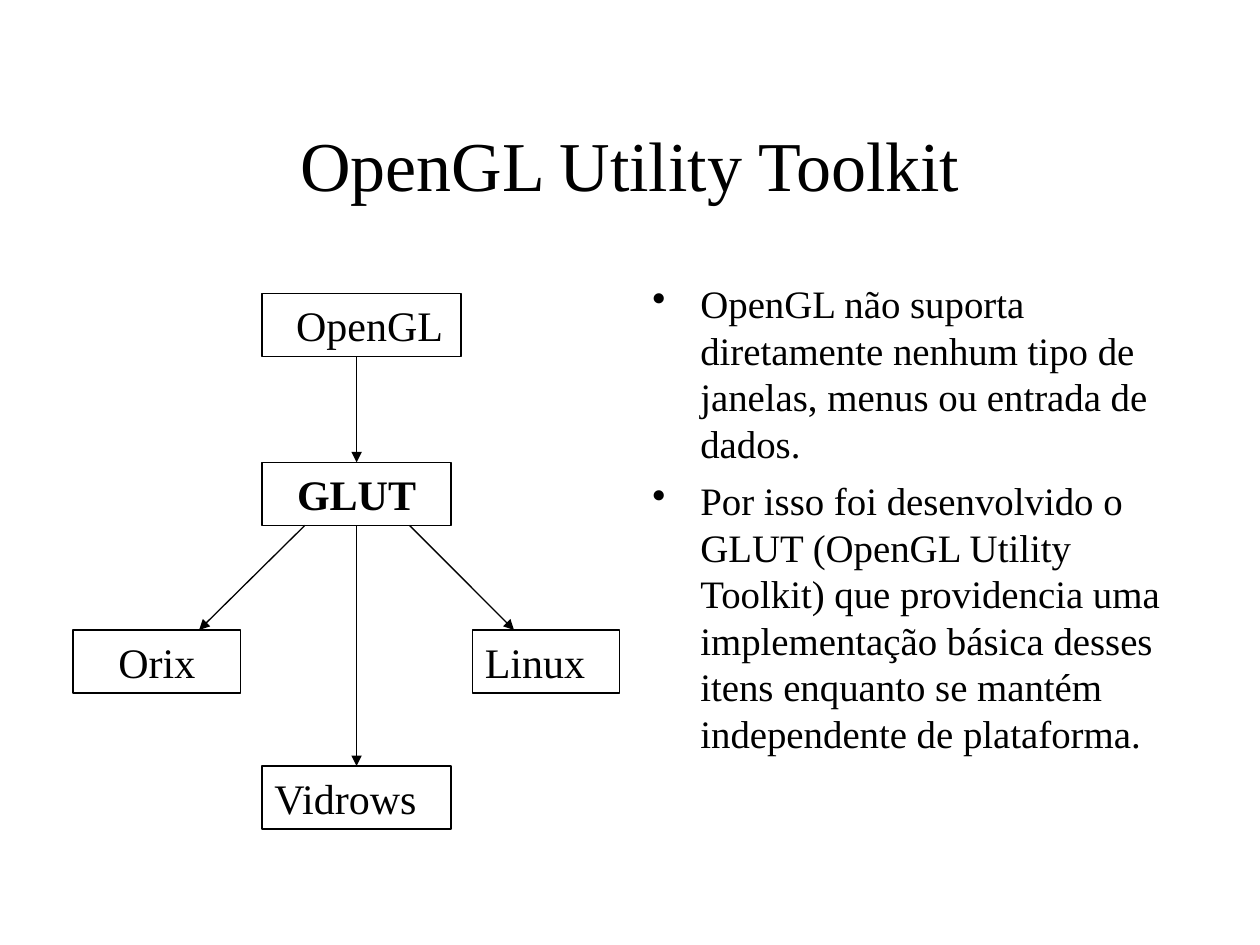
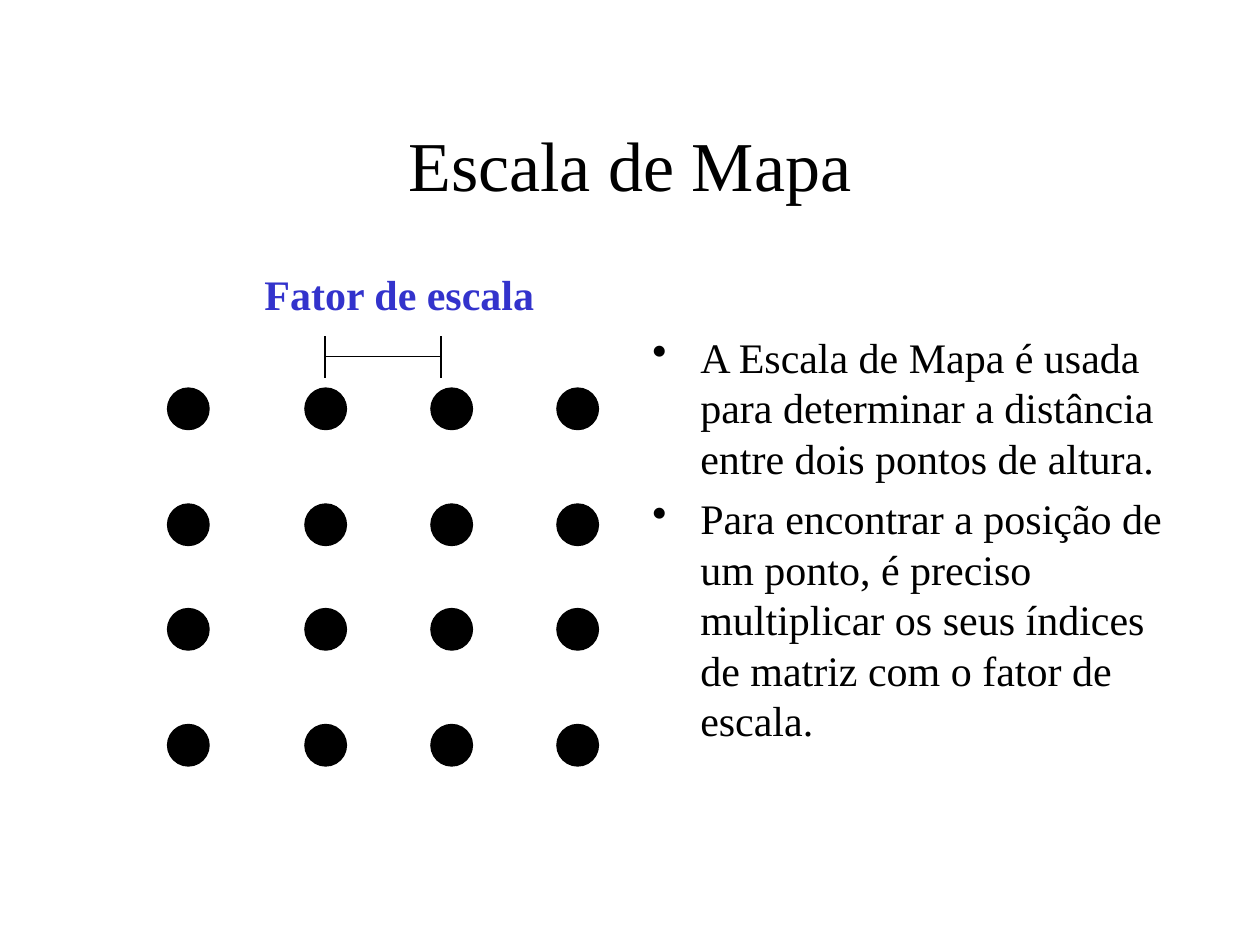
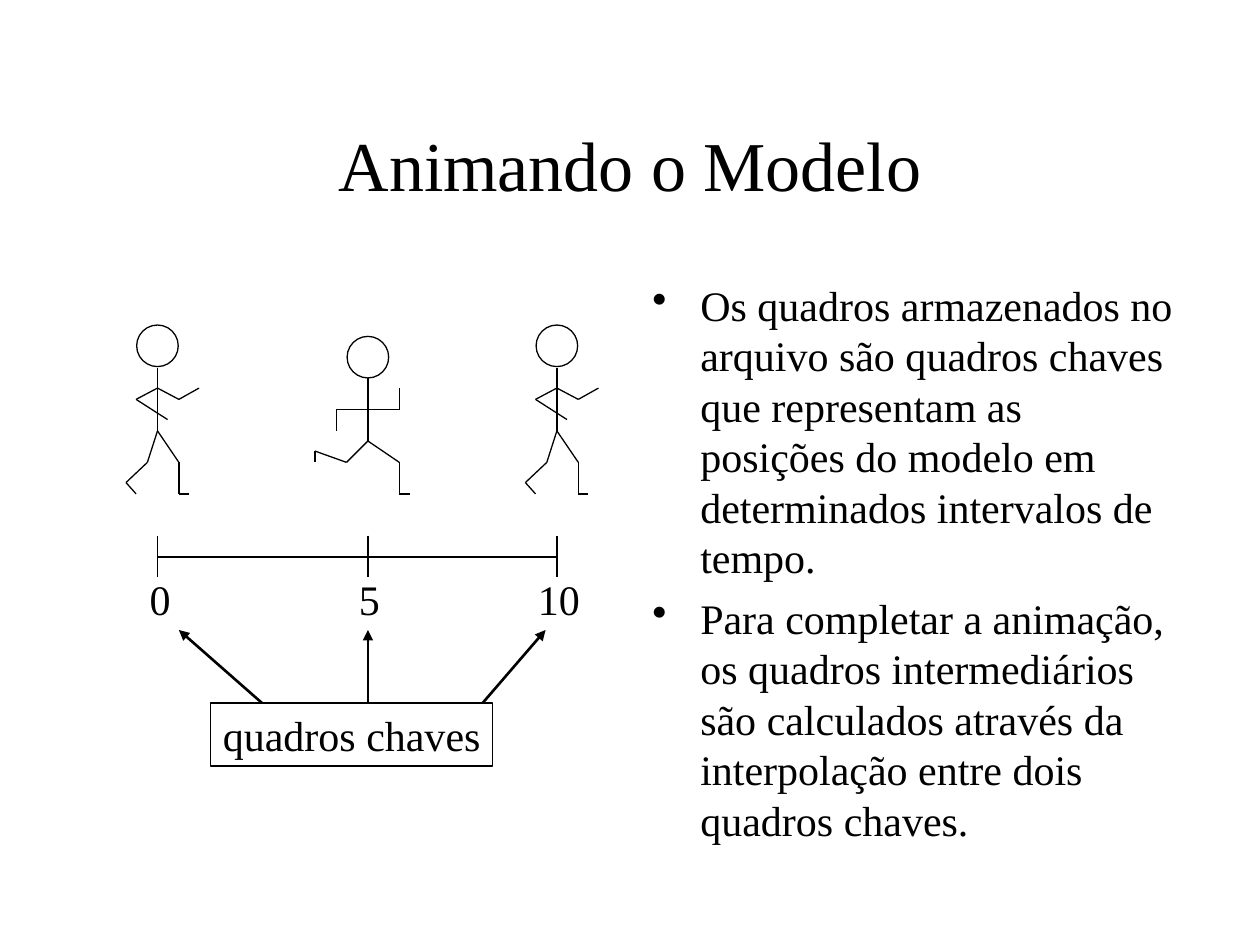
from itertools import pairwise

from lxml import etree
from pptx import Presentation
from pptx.dml.color import RGBColor
from pptx.enum.shapes import MSO_CONNECTOR as CONN, MSO_SHAPE as SHAPE
from pptx.enum.text import MSO_ANCHOR as ANCHOR, PP_ALIGN as ALIGN
from pptx.oxml.ns import qn
from pptx.util import Inches, Pt

FONT = "Times New Roman"
BLACK, BLUE = "000000", "3333CC"
DOT = 0.33
rgb = RGBColor.from_string


def write(tf, text, size=24, color=BLACK, bold=False, align=ALIGN.LEFT,
          bullet=False, before=0, wrap=True, anchor=ANCHOR.TOP, new=False):
    """Write one paragraph with its format into a text frame."""
    tf.word_wrap = wrap
    tf.vertical_anchor = anchor
    p = tf.add_paragraph() if new else tf.paragraphs[0]
    p.alignment = align
    p.space_before = Pt(before)
    if bullet:
        pPr = p._p.get_or_add_pPr()
        pPr.set("marL", str(Inches(0.38)))
        pPr.set("indent", str(-Inches(0.38)))
        etree.SubElement(pPr, qn("a:buChar")).set("char", "•")
    r = p.add_run()
    r.text = text
    r.font.name = FONT
    r.font.size = Pt(size)
    r.font.bold = bold
    r.font.color.rgb = rgb(color)


def add_line(shapes, start, end, width=0.75, arrow=False):
    """Draw a straight black line, with an arrowhead at its end if wanted."""
    points = [Inches(v) for v in (*start, *end)]
    c = shapes.add_connector(CONN.STRAIGHT, *points)
    c.line.color.rgb = rgb(BLACK)
    c.line.width = Pt(width)
    if arrow:
        tail = etree.SubElement(c.line._get_or_add_ln(), qn("a:tailEnd"))
        tail.set("type", "triangle")
    etree.SubElement(c._element.spPr, qn("a:effectLst"))
    return c


prs = Presentation()
prs.slide_width, prs.slide_height = Inches(10), Inches(7.5)

# Titles and bullet columns: title, text size, column position, bullets
contents = [
    ("OpenGL Utility Toolkit", 22.2, (5.08, 2.17, 4.42, 4.5), [
        "OpenGL não suporta diretamente nenhum tipo de janelas, menus ou "
        "entrada de dados.",
        "Por isso foi desenvolvido o GLUT (OpenGL Utility Toolkit) que "
        "providencia uma implementação básica desses itens enquanto se "
        "mantém independente de plataforma."]),
    ("Escala de Mapa", 24, (5.08, 2.58, 4.33, 3.67), [
        "A Escala de Mapa é usada para determinar a distância entre dois "
        "pontos de altura.",
        "Para encontrar a posição de um ponto, é preciso multiplicar os seus "
        "índices de matriz com o fator de escala."]),
    ("Animando o Modelo", 24, (5.08, 2.17, 4.33, 4.67), [
        "Os quadros armazenados no arquivo são quadros chaves que representam "
        "as posições do modelo em determinados intervalos de tempo.",
        "Para completar a animação, os quadros intermediários são calculados "
        "através da interpolação entre dois quadros chaves."]),
]
for title, size, place, bullets in contents:
    s = prs.slides.add_slide(prs.slide_layouts[5])
    sp = s.shapes.title
    sp.left, sp.top = Inches(0.75), Inches(0.67)
    sp.width, sp.height = Inches(8.5), Inches(1.25)
    write(sp.text_frame, title, size=40, align=ALIGN.CENTER, anchor=ANCHOR.MIDDLE)
    tf = s.shapes.add_textbox(*[Inches(v) for v in place]).text_frame
    for i, text in enumerate(bullets):
        write(tf, text, size=size, bullet=True, before=6 if i else 0, new=i > 0)
toolkit, scale, animation = prs.slides

# Slide 1: platform boxes (text, left, top, width, left inset, alignment)
boxes = {}
for text, x, y, w, inset, align in [
    ("OpenGL", 2.08, 2.33, 1.58, 0.27, ALIGN.LEFT),
    ("GLUT", 2.08, 3.67, 1.5, 0.1, ALIGN.CENTER),
    ("Vidrows", 2.08, 6.08, 1.5, 0.1, ALIGN.LEFT),
    ("Orix", 0.58, 5, 1.33, 0.1, ALIGN.CENTER),
    ("Linux", 3.75, 5, 1.17, 0.1, ALIGN.LEFT),
]:
    sp = toolkit.shapes.add_shape(
        SHAPE.RECTANGLE, Inches(x), Inches(y), Inches(w), Inches(0.5))
    sp.shadow.inherit = False
    sp.fill.background()
    sp.line.color.rgb = rgb(BLACK)
    sp.line.width = Pt(0.75)
    sp.text_frame.margin_left = Inches(inset)
    write(sp.text_frame, text, align=align, bold=text == "GLUT")
    boxes[text] = sp

# Slide 1: arrows
to_glut = add_line(toolkit.shapes, (2.83, 2.83), (2.83, 3.67), arrow=True)
to_glut.end_connect(boxes["GLUT"], 0)
to_bottom = add_line(toolkit.shapes, (2.83, 4.17), (2.83, 6.08), arrow=True)
to_bottom.begin_connect(boxes["GLUT"], 2)
to_bottom.end_connect(boxes["Vidrows"], 0)
add_line(toolkit.shapes, (2.42, 4.17), (1.58, 5), arrow=True)
add_line(toolkit.shapes, (3.25, 4.17), (4.08, 5), arrow=True)

# Slide 2: grid of height points
for y in (3.08, 4, 4.83, 5.75):
    for x in (1.33, 2.42, 3.42, 4.42):
        sp = scale.shapes.add_shape(
            SHAPE.OVAL, Inches(x), Inches(y), Inches(DOT), Inches(DOT))
        sp.shadow.inherit = False
        sp.fill.solid()
        sp.fill.fore_color.rgb = rgb(BLACK)
        sp.line.color.rgb = rgb(BLACK)
        sp.line.width = Pt(0.75)

# Slide 2: scale factor measure
add_line(scale.shapes, (2.58, 2.83), (3.5, 2.83))
for x in (2.58, 3.5):
    add_line(scale.shapes, (x, 2.67), (x, 3))
sp = scale.shapes.add_textbox(Inches(2), Inches(2.08), Inches(2.35), Inches(0.5))
write(sp.text_frame, "Fator de escala", color=BLUE, bold=True, wrap=False)

# Slide 3: key frame box and its arrows
sp = animation.shapes.add_shape(
    SHAPE.RECTANGLE, Inches(1.67), Inches(5.58), Inches(2.24), Inches(0.5))
sp.shadow.inherit = False
sp.fill.background()
sp.line.color.rgb = rgb(BLACK)
sp.line.width = Pt(0.75)
write(sp.text_frame, "quadros chaves", wrap=False)
for x1, x2 in [(2.08, 1.42), (2.92, 2.92), (3.83, 4.33)]:
    add_line(animation.shapes, (x1, 5.58), (x2, 5), width=1.5, arrow=True)

# Slide 3: poses as head top and limbs, with x measured from the neck
stride = (2.58, [
    [(0, 2.92), (0, 3.42), (-0.08, 3.67), (-0.25, 3.83), (-0.17, 3.92)],
    [(0, 3.42), (0.17, 3.67), (0.17, 3.92), (0.25, 3.92)],
    [(0.33, 3.08), (0.17, 3.17), (0, 3.08), (-0.17, 3.17), (0.08, 3.33)]])
leap = (2.67, [
    [(0, 3), (0, 3.5), (-0.17, 3.67), (-0.42, 3.58), (-0.42, 3.67)],
    [(0, 3.5), (0.25, 3.67), (0.25, 3.92), (0.33, 3.92)],
    [(-0.25, 3.42), (-0.25, 3.25), (0.25, 3.25), (0.25, 3.08)]])

# Slide 3: time line with a label and a figure at each key frame
add_line(animation.shapes, (1.25, 4.42), (4.42, 4.42))
for label, x, label_x, label_w, (head_y, limbs) in [
    ("0", 1.25, 1.09, 0.36, stride),
    ("5", 2.92, 2.75, 0.36, leap),
    ("10", 4.42, 4.17, 0.53, stride),
]:
    add_line(animation.shapes, (x, 4.25), (x, 4.58))
    sp = animation.shapes.add_textbox(
        Inches(label_x), Inches(4.5), Inches(label_w), Inches(0.5))
    write(sp.text_frame, label, wrap=False)

    figure = animation.shapes.add_group_shape().shapes
    head = figure.add_shape(
        SHAPE.OVAL, Inches(x - DOT / 2), Inches(head_y), Inches(DOT), Inches(DOT))
    head.shadow.inherit = False
    head.fill.background()
    head.line.color.rgb = rgb(BLACK)
    head.line.width = Pt(0.75)
    for limb in limbs:
        for (dx1, y1), (dx2, y2) in pairwise(limb):
            add_line(figure, (x + dx1, y1), (x + dx2, y2))

prs.save("out.pptx")
